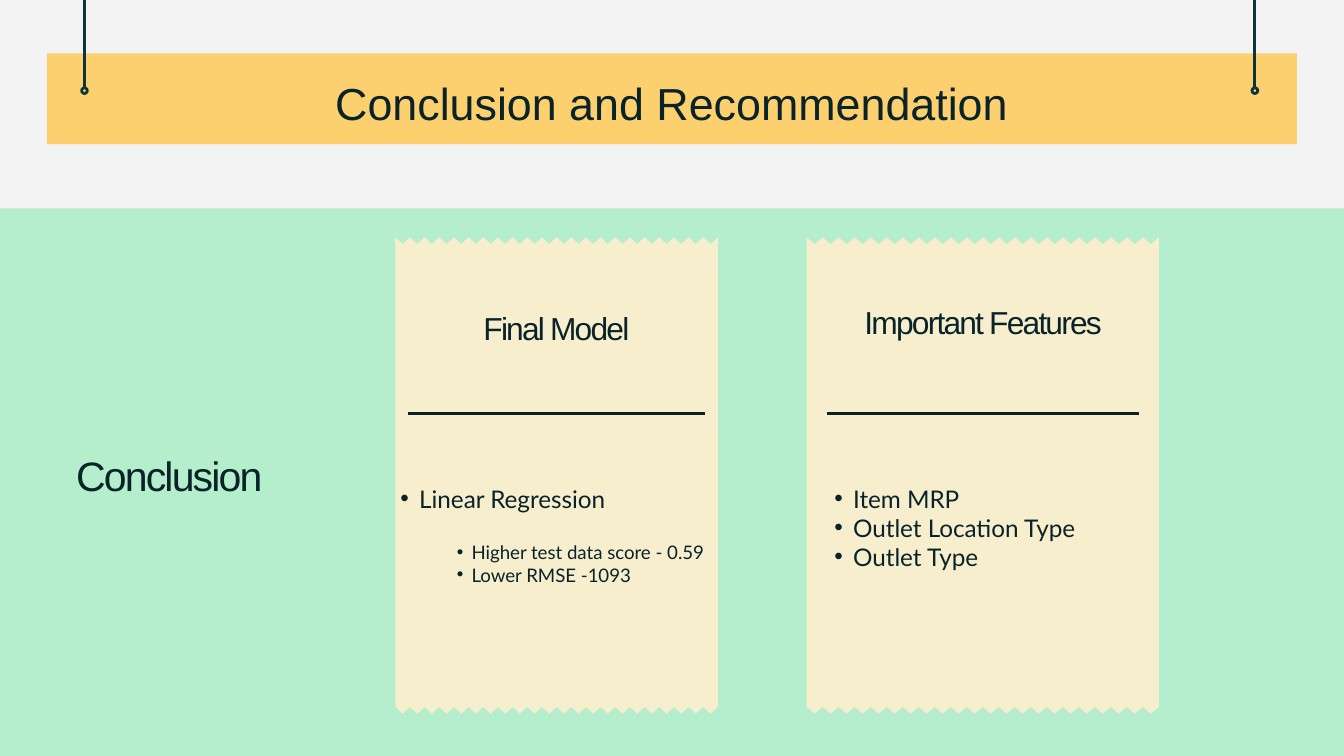
from dataclasses import dataclass

from lxml.etree import SubElement
from pptx import Presentation
from pptx.dml.color import RGBColor
from pptx.enum.shapes import MSO_CONNECTOR as Connector, MSO_SHAPE as Shape
from pptx.enum.text import MSO_ANCHOR as Anchor, PP_ALIGN as Align
from pptx.oxml.ns import qn
from pptx.util import Pt


@dataclass(frozen=True)
class Theme:
    backdrop = RGBColor.from_string("F3F3F3")
    mint = RGBColor.from_string("B5EECC")
    banner = RGBColor.from_string("FCD06F")
    pin = RGBColor.from_string("0C343D")
    paper = RGBColor.from_string("F7EECE")
    ink = RGBColor.from_string("092329")
    heading_font = "Arial"
    body_font = "Lato"
    title = 24
    section = 22
    heading = 17
    body = 13
    detail = 10


theme = Theme()


def paint(shape, color, outline=None):
    shape.shadow.inherit = False
    shape.fill.solid()
    shape.fill.fore_color.rgb = color
    if outline is None:
        shape.line.fill.background()
    else:
        shape.line.color.rgb = outline
        shape.line.width = Pt(0.75)


def write(place, lines, font, align=Align.LEFT, anchor=Anchor.TOP, tracking=0):
    box = page.shapes.add_textbox(*map(Pt, place))
    frame = box.text_frame
    frame.word_wrap = True
    frame.vertical_anchor = anchor
    frame.margin_left = frame.margin_right = Pt(7.2)
    frame.margin_top = frame.margin_bottom = Pt(7.2)
    frame.text = "\n".join(text for text, *_ in lines)
    for para, (_, size, level, gap) in zip(frame.paragraphs, lines):
        para.alignment = align
        if gap:
            para.space_before = Pt(gap)
        if level is not None:
            para.level = level
            margin, hang = ((10.08, 10.08), (38.16, 7.92))[level]
            properties = para._p.get_or_add_pPr()
            properties.set("marL", str(Pt(margin)))
            properties.set("indent", str(-Pt(hang)))
            bullet_color = SubElement(properties, qn("a:buClr"))
            SubElement(bullet_color, qn("a:srgbClr")).set("val", str(theme.ink))
            SubElement(properties, qn("a:buFont")).set("typeface", "Arial")
            SubElement(properties, qn("a:buChar")).set("char", "•")
        for span in para.runs:
            span.font.name = font
            span.font.size = Pt(size)
            span.font.color.rgb = theme.ink
            if tracking:
                span._r.get_or_add_rPr().set("spc", str(tracking * 100))


deck = Presentation()
deck.slide_width, deck.slide_height = Pt(720), Pt(405)
page = deck.slides.add_slide(deck.slide_layouts[6])
page.background.fill.solid()
page.background.fill.fore_color.rgb = theme.backdrop

for place, color in (
    ((-2, 111.6, 723.6, 293.4), theme.mint),
    ((25.2, 28.6, 669.6, 48.6), theme.banner),
):
    paint(page.shapes.add_shape(Shape.RECTANGLE, *map(Pt, place)), color)

for center in (45.3, 672.3):
    string = page.shapes.add_shape(
        Shape.RECTANGLE, Pt(center - 0.45), Pt(0), Pt(0.9), Pt(47))
    ring = page.shapes.add_shape(
        Shape.DONUT, Pt(center - 1.9), Pt(46.7), Pt(3.8), Pt(3.8))
    ring.adjustments[0] = 0.2
    for part in (string, ring):
        paint(part, theme.pin, theme.pin)

write((108, 33.1, 503.3, 43.2),
      [("Conclusion and Recommendation", theme.title, None, 0)],
      theme.heading_font, Align.CENTER)
write((33.8, 231.8, 617, 45.4), [("Conclusion", theme.section, None, 0)],
      theme.heading_font, anchor=Anchor.MIDDLE, tracking=-1)

cards = (
    dict(left=211.8, width=172.8, rule=(218.6, 377.8),
         heading="Final Model", heading_place=(234.7, 158.4, 126.7, 38.9),
         body_place=(207.4, 252, 181.4, 69.1),
         points=[("Linear Regression", theme.body, 0, 0),
                 ("Higher test data score - 0.59", theme.detail, 1, 15),
                 ("Lower RMSE -1093", theme.detail, 1, 0)]),
    dict(left=432.1, width=188.7, rule=(443, 610.1),
         heading="Important Features", heading_place=(447.1, 155.2, 159.1, 45.4),
         body_place=(439.9, 252, 172.8, 62.6),
         points=[("Item MRP", theme.body, 0, 0),
                 ("Outlet Location Type", theme.body, 0, 0),
                 ("Outlet Type", theme.body, 0, 0)]),
)
teeth = 44
tooth_depth = 3.6
top, bottom = 127.2, 378.7
rule_y = 221.4

for card in cards:
    edge = [(card["left"] + card["width"] * step / teeth, step % 2 * tooth_depth)
            for step in range(teeth + 1)]
    outline = [(Pt(x), Pt(bottom + depth)) for x, depth in edge]
    outline += [(Pt(x), Pt(top + depth)) for x, depth in reversed(edge)]
    builder = page.shapes.build_freeform(*outline[0])
    builder.add_line_segments(outline[1:], close=True)
    paint(builder.convert_to_shape(), theme.paper)

    start, end = card["rule"]
    rule = page.shapes.add_connector(
        Connector.STRAIGHT, Pt(start), Pt(rule_y), Pt(end), Pt(rule_y))
    rule.line.color.rgb = theme.ink
    rule.line.width = Pt(1.5)
    SubElement(rule._element.spPr, qn("a:effectLst"))

    write(card["heading_place"], [(card["heading"], theme.heading, None, 0)],
          theme.heading_font, Align.CENTER, tracking=-1)
    write(card["body_place"], card["points"], theme.body_font)

deck.save("out.pptx")
